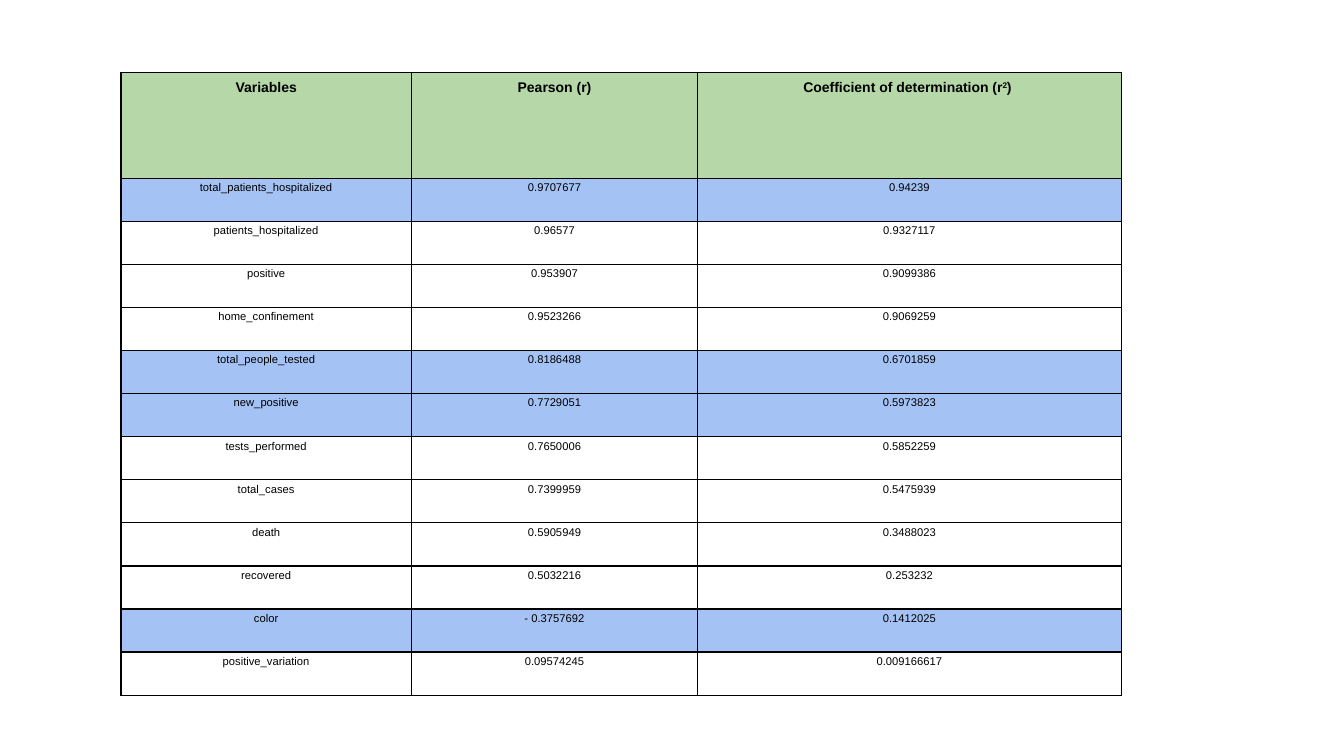
import pptx
import pptx.dml.color
import pptx.enum.text
import pptx.oxml
import pptx.oxml.ns
import pptx.util
from dataclasses import dataclass

Inches = pptx.util.Inches

# Each heading is a list of (text, superscript) spans.
HEADINGS = [
    [("Variables", False)],
    [("Pearson (r)", False)],
    [("Coefficient of determination (r", False), ("2", True), (")\u00a0", False)],
]
CORRELATIONS = [
    ("total_patients_hospitalized", "0.9707677", "0.94239"),
    ("patients_hospitalized", "0.96577", "0.9327117"),
    ("positive", "0.953907", "0.9099386"),
    ("home_confinement", "0.9523266", "0.9069259"),
    ("total_people_tested", "0.8186488", "0.6701859"),
    ("new_positive", "0.7729051", "0.5973823"),
    ("tests_performed", "0.7650006", "0.5852259"),
    ("total_cases", "0.7399959", "0.5475939"),
    ("death", "0.5905949", "0.3488023"),
    ("recovered", "0.5032216", "0.253232"),
    ("color", "- 0.3757692", "0.1412025"),
    ("positive_variation", "0.09574245", "0.009166617"),
]
HIGHLIGHTED = {"total_patients_hospitalized", "total_people_tested", "new_positive", "color"}

LEFT, TOP, HEIGHT = 1.2, 0.72, 6.18
COLUMN_WIDTHS = [2.88, 2.84, 4.2]
HEADING_HEIGHT = 1.05
ROW_HEIGHT = (HEIGHT - HEADING_HEIGHT) / len(CORRELATIONS)


@dataclass(frozen=True)
class Theme:
    """Colours, type and line sizes of the slide."""
    font: str = "Arial"
    ink: str = "000000"
    heading_fill: str = "B6D7A8"
    highlight_fill: str = "A4C2F4"
    heading_size: int = 10
    body_size: int = 8
    border_width: int = 1


THEME = Theme()


def add_borders(cell):
    """Draw a solid line on all four sides of a cell."""
    properties = cell._tc.get_or_add_tcPr()
    width = pptx.util.Pt(THEME.border_width)
    for side in ("lnL", "lnR", "lnT", "lnB"):
        properties.append(pptx.oxml.parse_xml(
            f'<a:{side} {pptx.oxml.ns.nsdecls("a")} w="{width}">'
            f'<a:solidFill><a:srgbClr val="{THEME.ink}"/></a:solidFill>'
            f'<a:prstDash val="solid"/></a:{side}>'))


def write_text(cell, spans, *, size, bold=False, inset=0.03):
    """Write centred spans into a cell, raising the superscript ones."""
    cell.margin_left = cell.margin_right = Inches(inset)
    cell.margin_top = cell.margin_bottom = Inches(inset)
    cell.vertical_anchor = pptx.enum.text.MSO_ANCHOR.TOP
    para = cell.text_frame.paragraphs[0]
    para.alignment = pptx.enum.text.PP_ALIGN.CENTER
    for text, superscript in spans:
        span = para.add_run()
        span.text = text
        span.font.name = THEME.font
        span.font.size = pptx.util.Pt(size)
        span.font.bold = bold
        span.font.color.rgb = pptx.dml.color.RGBColor.from_string(THEME.ink)
        if superscript:
            span.font._element.set("baseline", "30000")


def fill_row(table, index, entries, *, fill=None, **text_format):
    """Fill one table row with text, borders and a background."""
    for column, spans in enumerate(entries):
        cell = table.cell(index, column)
        write_text(cell, spans, **text_format)
        add_borders(cell)
        if fill:
            cell.fill.solid()
            cell.fill.fore_color.rgb = pptx.dml.color.RGBColor.from_string(fill)
        else:
            cell.fill.background()


def add_correlation_table(page):
    """Add the table of correlations to the page."""
    table = page.shapes.add_table(
        len(CORRELATIONS) + 1, len(HEADINGS), Inches(LEFT), Inches(TOP),
        Inches(sum(COLUMN_WIDTHS)), Inches(HEIGHT)).table
    table.first_row = table.horz_banding = False
    for column, width in zip(table.columns, COLUMN_WIDTHS):
        column.width = Inches(width)
    for index, row in enumerate(table.rows):
        row.height = Inches(ROW_HEIGHT if index else HEADING_HEIGHT)

    fill_row(table, 0, HEADINGS, fill=THEME.heading_fill,
             size=THEME.heading_size, bold=True, inset=0.07)
    for index, values in enumerate(CORRELATIONS, start=1):
        fill = THEME.highlight_fill if values[0] in HIGHLIGHTED else None
        fill_row(table, index, [[(value, False)] for value in values],
                 fill=fill, size=THEME.body_size)


deck = pptx.Presentation()
deck.slide_width, deck.slide_height = Inches(13.33), Inches(7.5)
add_correlation_table(deck.slides.add_slide(deck.slide_layouts[6]))
deck.save("out.pptx")
